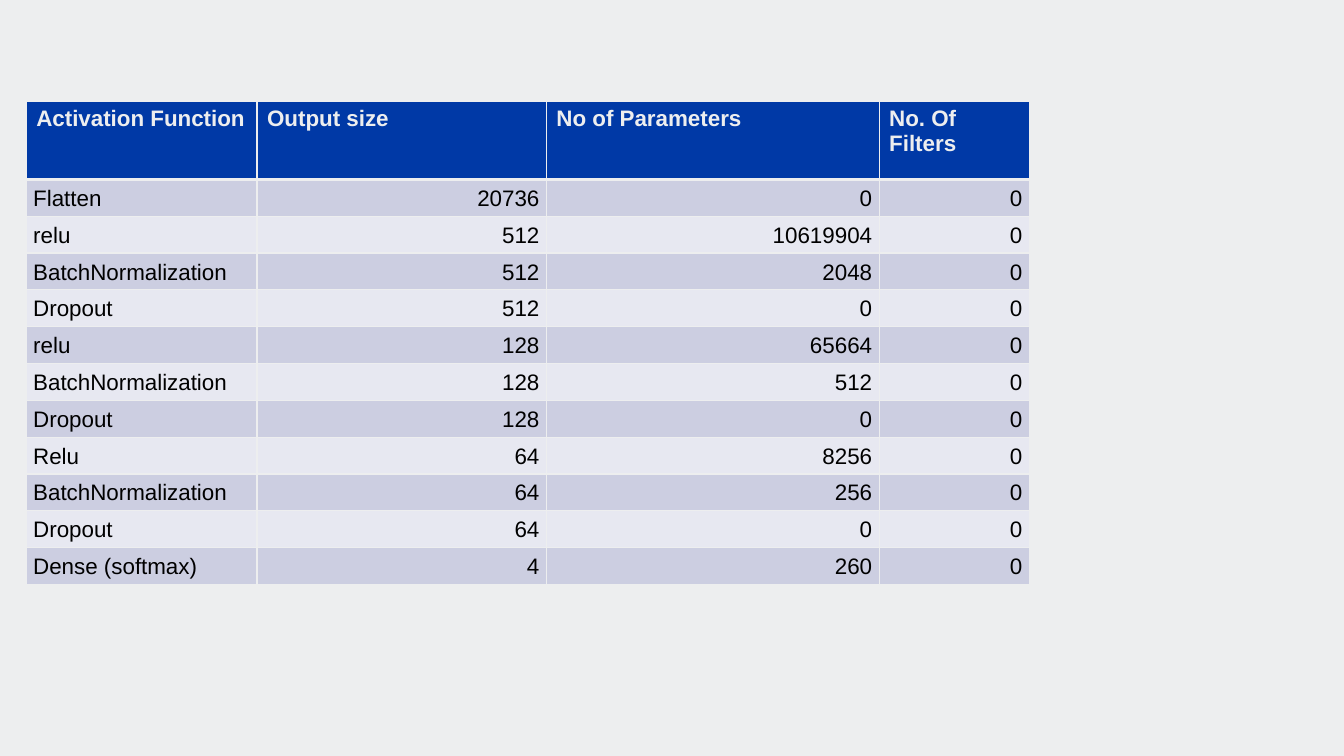
import pptx
import pptx.dml.color
import pptx.enum.text
import pptx.oxml.ns
import pptx.util
from lxml import etree

Inches = pptx.util.Inches
RGBColor = pptx.dml.color.RGBColor
PP_ALIGN = pptx.enum.text.PP_ALIGN
MSO_ANCHOR = pptx.enum.text.MSO_ANCHOR

HEADERS = ["Activation Function", "Output size", "No of Parameters", "No. Of Filters"]
LAYERS = [
    ("Flatten", 20736, 0, 0),
    ("relu", 512, 10619904, 0),
    ("BatchNormalization", 512, 2048, 0),
    ("Dropout", 512, 0, 0),
    ("relu", 128, 65664, 0),
    ("BatchNormalization", 128, 512, 0),
    ("Dropout", 128, 0, 0),
    ("Relu", 64, 8256, 0),
    ("BatchNormalization", 64, 256, 0),
    ("Dropout", 64, 0, 0),
    ("Dense (softmax)", 4, 260, 0),
]

PALE = RGBColor(0xED, 0xEE, 0xEF)
BLUE = RGBColor(0x00, 0x39, 0xA6)
BLACK = RGBColor(0x00, 0x00, 0x00)
BANDS = [RGBColor(0xCC, 0xCE, 0xE1), RGBColor(0xE7, 0xE8, 0xF1)]

LEFT, TOP, WIDTH, HEIGHT = 0.26, 1.01, 9.95, 4.79
COLUMN_WIDTHS = [2.29, 2.87, 3.3, 1.49]
HEADER_HEIGHT = 0.77
LAYER_HEIGHT = (HEIGHT - HEADER_HEIGHT) / len(LAYERS)


def add_borders(cell, top_width, bottom_width):
    properties = cell._tc.get_or_add_tcPr()
    widths = {"a:lnL": 1, "a:lnR": 1, "a:lnT": top_width, "a:lnB": bottom_width}
    for tag, width in widths.items():
        line = etree.SubElement(properties, pptx.oxml.ns.qn(tag), w=str(pptx.util.Pt(width)))
        fill = etree.SubElement(line, pptx.oxml.ns.qn("a:solidFill"))
        etree.SubElement(fill, pptx.oxml.ns.qn("a:srgbClr"), val=str(PALE))


def write_cell(cell, text, color, fill, bold):
    cell.fill.solid()
    cell.fill.fore_color.rgb = fill
    paragraph = cell.text_frame.paragraphs[0]
    run = paragraph.add_run()
    run.text = text
    run.font.name = "Arial"
    run.font.size = pptx.util.Pt(16)
    run.font.bold = bold
    run.font.color.rgb = color
    return paragraph


def write_header(table):
    for column, text in enumerate(HEADERS):
        cell = table.cell(0, column)
        add_borders(cell, 1, 3)
        write_cell(cell, text, PALE, BLUE, True)


def write_layers(table):
    for row, layer in enumerate(LAYERS, start=1):
        for column, value in enumerate(layer):
            cell = table.cell(row, column)
            add_borders(cell, 3 if row == 1 else 1, 1)
            cell.vertical_anchor = MSO_ANCHOR.MIDDLE
            cell.margin_left = cell.margin_right = Inches(0.07)
            cell.margin_top = cell.margin_bottom = 0
            paragraph = write_cell(cell, str(value), BLACK, BANDS[(row - 1) % 2], False)
            paragraph.line_spacing = 1.07
            paragraph.alignment = PP_ALIGN.RIGHT if column else PP_ALIGN.LEFT


def main():
    presentation = pptx.Presentation()
    presentation.slide_width = Inches(13.33)
    presentation.slide_height = Inches(7.5)
    slide = presentation.slides.add_slide(presentation.slide_layouts.get_by_name("Blank"))
    slide.background.fill.solid()
    slide.background.fill.fore_color.rgb = PALE

    table = slide.shapes.add_table(
        len(LAYERS) + 1, len(HEADERS),
        Inches(LEFT), Inches(TOP), Inches(WIDTH), Inches(HEIGHT),
    ).table
    for column, width in zip(table.columns, COLUMN_WIDTHS):
        column.width = Inches(width)
    for index, row in enumerate(table.rows):
        row.height = Inches(LAYER_HEIGHT if index else HEADER_HEIGHT)
    write_header(table)
    write_layers(table)
    presentation.save("out.pptx")


if __name__ == "__main__":
    main()
